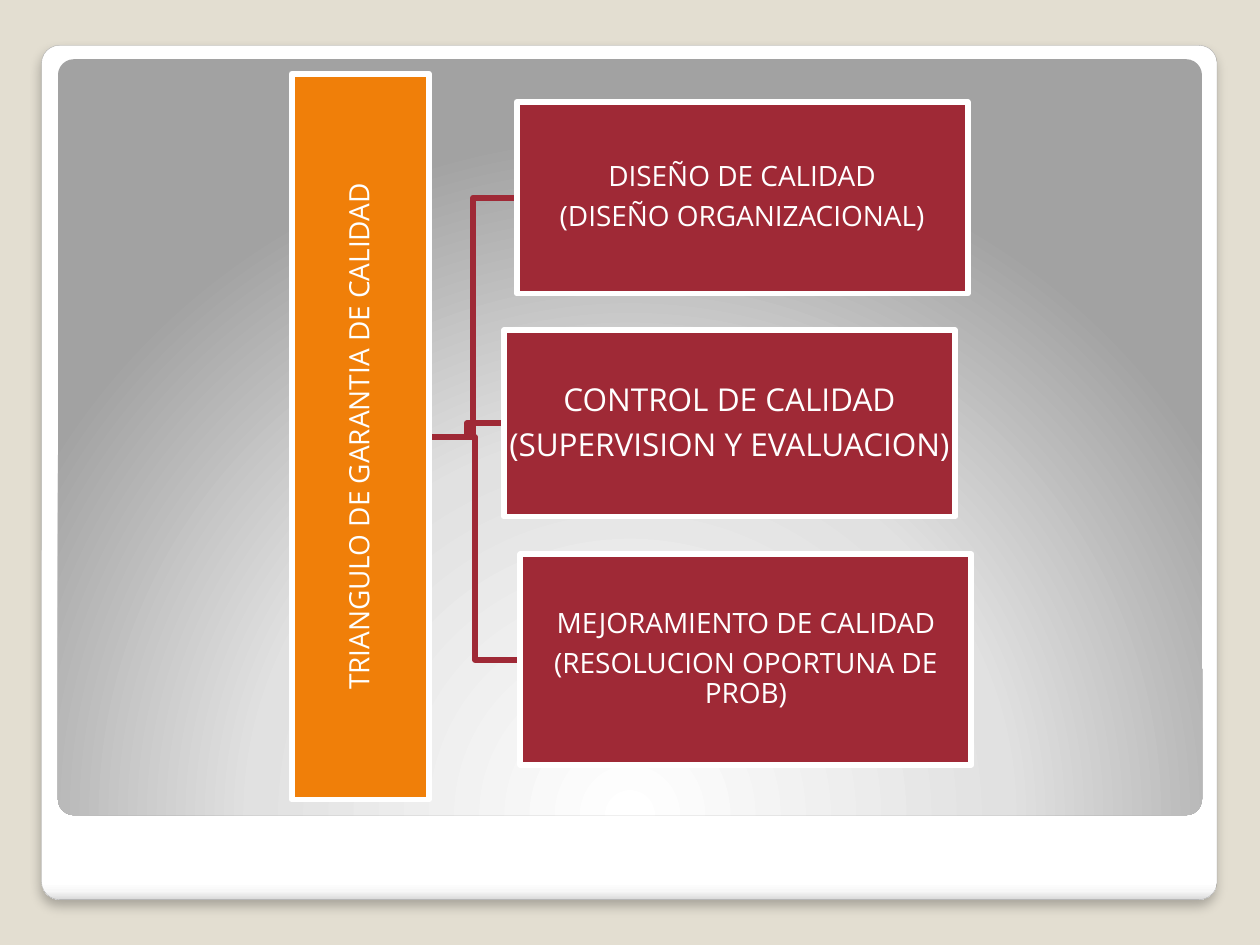
from pptx import Presentation
from pptx.dml.color import RGBColor
from pptx.enum.shapes import MSO_CONNECTOR, MSO_SHAPE
from pptx.enum.text import MSO_ANCHOR, PP_ALIGN
from pptx.oxml import parse_xml
from pptx.oxml.ns import nsdecls, qn
from pptx.util import Inches, Pt

BACKGROUND = RGBColor(0xE3, 0xDE, 0xD1)
BORDER = RGBColor(0xA4, 0xA4, 0xA4)
ORANGE = RGBColor(0xF0, 0x7F, 0x09)
RED = RGBColor(0x9F, 0x29, 0x36)
WHITE = RGBColor(0xFF, 0xFF, 0xFF)
FONT = "Open Sans"
LINE_WIDTH = Pt(3.35)


def add_panel(s, box, stops, direction):
    """Add a rounded panel with a gradient of (percent, colour) stops."""
    sp = s.shapes.add_shape(MSO_SHAPE.ROUNDED_RECTANGLE, *map(Inches, box))
    sp.adjustments[0] = 0.021
    sp.shadow.inherit = False
    gs = "".join(f'<a:gs pos="{pos * 1000}"><a:srgbClr val="{color}"/></a:gs>'
                 for pos, color in stops)
    grad = parse_xml(f'<a:gradFill {nsdecls("a")} rotWithShape="1">'
                     f'<a:gsLst>{gs}</a:gsLst>{direction}</a:gradFill>')
    sp._element.spPr.find(qn("a:prstGeom")).addnext(grad)
    return sp


def add_box(s, box, color, lines, size):
    sp = s.shapes.add_shape(MSO_SHAPE.RECTANGLE, *map(Inches, box))
    sp.shadow.inherit = False
    sp.fill.solid()
    sp.fill.fore_color.rgb = color
    sp.line.color.rgb = WHITE
    sp.line.width = LINE_WIDTH
    tf = sp.text_frame
    tf.word_wrap = True
    tf.vertical_anchor = MSO_ANCHOR.MIDDLE
    for side in ("left", "top", "right", "bottom"):
        setattr(tf, f"margin_{side}", Inches(0.01))
    for i, text in enumerate(lines):
        p = tf.paragraphs[0] if i == 0 else tf.add_paragraph()
        p.alignment = PP_ALIGN.CENTER
        p.line_spacing = 0.9
        p.space_after = Pt(0.35 * size)
        r = p.add_run()
        r.text = text
        for name, value in {"name": FONT, "size": Pt(size)}.items():
            setattr(r.font, name, value)
        r.font.color.rgb = WHITE
    return sp


prs = Presentation()
prs.slide_width, prs.slide_height = Inches(10), Inches(7.5)
s = prs.slides.add_slide(prs.slide_layouts[6])
s.background.fill.solid()
s.background.fill.fore_color.rgb = BACKGROUND

# Framed backdrop
frame = add_panel(s, (0.33, 0.36, 9.33, 6.78),
                  [(0, "FFFFFF"), (98, "FFFFFF"), (99, "F7F7F7"), (100, "DADADA")],
                  '<a:lin ang="5400000" scaled="0"/>')
frame.line.color.rgb = BORDER
frame.line.width = Pt(0.16)
effects = frame._element.spPr.find(qn("a:effectLst"))
effects.append(parse_xml(
    f'<a:outerShdw {nsdecls("a")} blurRad="{Pt(6)}" dist="{Pt(4)}" dir="5400000" '
    'algn="tl" rotWithShape="0"><a:srgbClr val="000000"><a:alpha val="25000"/>'
    '</a:srgbClr></a:outerShdw>'))
inner = add_panel(s, (0.46, 0.47, 9.08, 6),
                  [(0, "FFFFFF"), (55, "E1E1E1"), (100, "A2A2A2")],
                  '<a:path path="circle"><a:fillToRect l="50000" t="175000" '
                  'r="50000" b="-75000"/></a:path>')
inner.line.fill.background()

# Hierarchy: one root on the left, three branches on the right
BRANCH_WIDTH = 3.58
ROOT_RIGHT, ROOT_MIDDLE = 3.41, 3.47
branches = [
    (4.1, 0.81, 1.52, 16, ["DISEÑO DE CALIDAD", "(DISEÑO ORGANIZACIONAL)"]),
    (4, 2.62, 1.48, 18, ["CONTROL DE CALIDAD", "(SUPERVISION Y EVALUACION)"]),
    (4.13, 4.4, 1.67, 16, ["MEJORAMIENTO DE CALIDAD", "(RESOLUCION OPORTUNA DE PROB)"]),
]

for left, top, height, size, lines in reversed(branches):
    cxn = s.shapes.add_connector(
        MSO_CONNECTOR.ELBOW, Inches(ROOT_RIGHT), Inches(ROOT_MIDDLE),
        Inches(left), Inches(top + height / 2))
    cxn.line.color.rgb = RED
    cxn.line.width = LINE_WIDTH
    cxn._element.spPr.append(parse_xml(f'<a:effectLst {nsdecls("a")}/>'))

root = add_box(s, (-0.02, 2.92, 5.76, 1.09), ORANGE,
               ["TRIANGULO DE GARANTIA DE CALIDAD"], 16)
root.rotation = 270
for left, top, height, size, lines in branches:
    add_box(s, (left, top, BRANCH_WIDTH, height), RED, lines, size)

prs.save("out.pptx")
